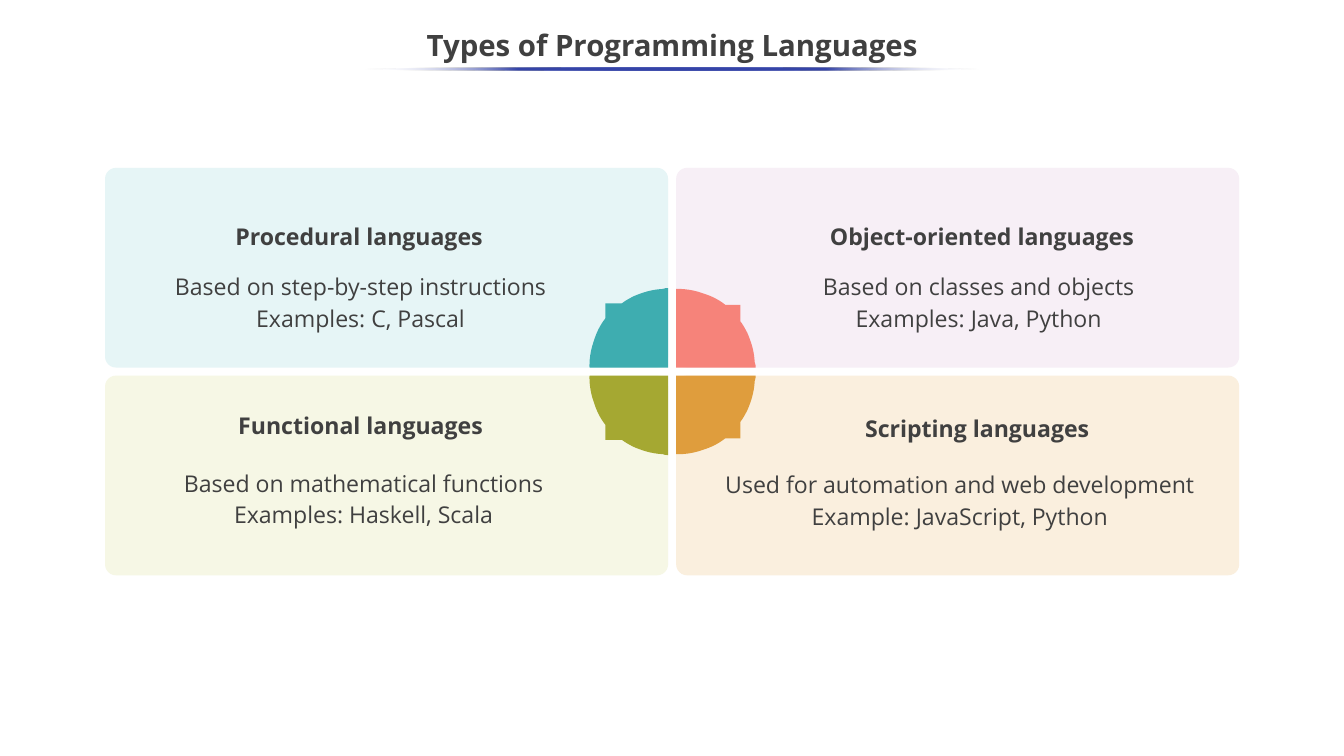
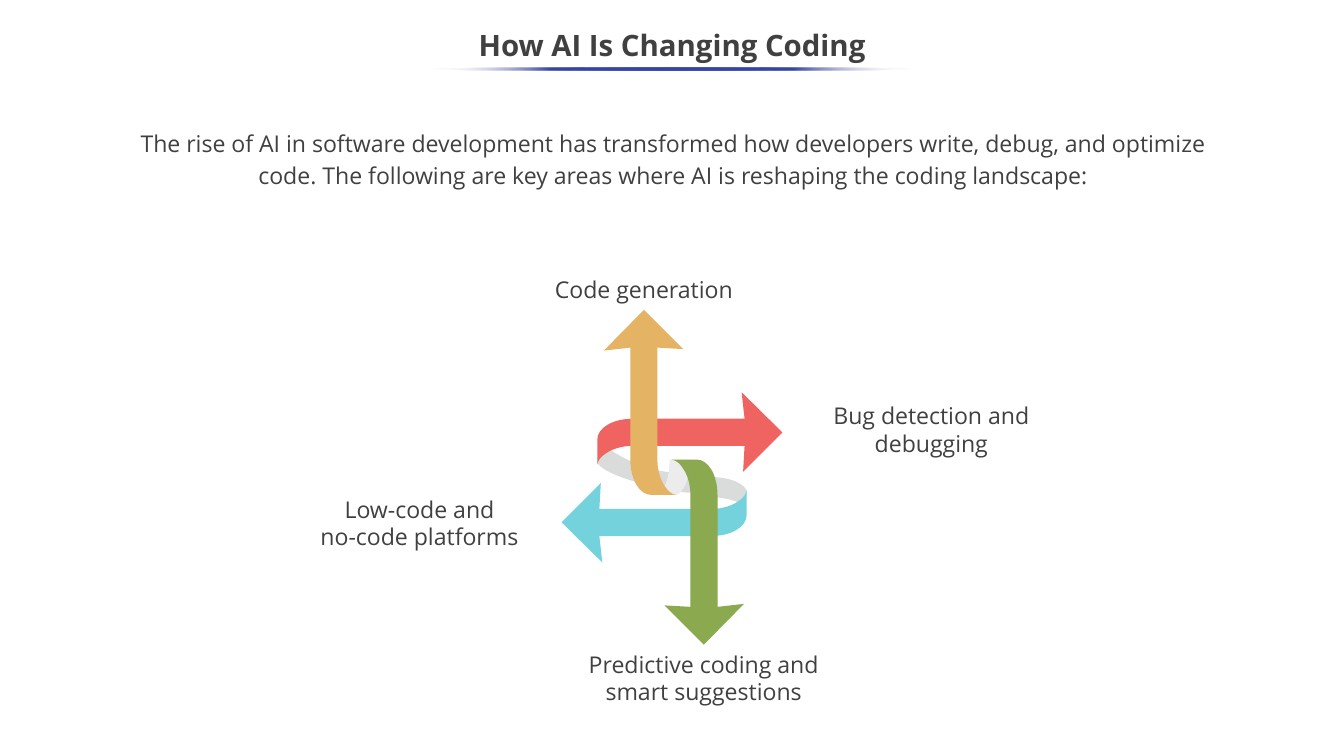
from lxml import etree
from pptx import Presentation
from pptx.dml.color import RGBColor
from pptx.enum.shapes import MSO_SHAPE
from pptx.enum.text import MSO_ANCHOR, MSO_AUTO_SIZE, PP_ALIGN
from pptx.oxml.ns import qn
from pptx.util import Cm, Pt

ROUNDED = MSO_SHAPE.ROUNDED_RECTANGLE
OVAL = MSO_SHAPE.OVAL
TOP, MIDDLE, BOTTOM = MSO_ANCHOR.TOP, MSO_ANCHOR.MIDDLE, MSO_ANCHOR.BOTTOM
CENTER = PP_ALIGN.CENTER
NO_AUTOFIT = MSO_AUTO_SIZE.NONE

# All lengths are centimetres.
SLIDE_WIDTH, SLIDE_HEIGHT = 45.16, 25.4
FONT = "Open Sans"
INK = "404040"
TITLE_SIZE, TEXT_SIZE = 28, 22
# Position in percent, colour, opacity in percent
RULE_STOPS = [(0, "FFFFFF", 0), (25, "3645A9", 100), (50, "3645A9", 100),
              (75, "3645A9", 100), (100, "FFFFFF", 0)]

CARD_LEFT, CARD_TOP = 3.53, 5.64
CARD_WIDTH, CARD_HEIGHT, CARD_GAP = 18.92, 6.71, 0.27
# Column, row, card colour, quadrant colour,
# heading and its left and top, text and its left, top and width
LANGUAGE_TYPES = [
    (0, 0, "E6F5F6", "3EADB0", "Procedural languages", (5.51, 7.29),
     "Based on step-by-step instructions\nExamples: C, Pascal", (5.56, 9.03, 13.11)),
    (1, 0, "F7EFF6", "F6837A", "Object-oriented languages", (26.44, 7.29),
     "Based on classes and objects\nExamples: Java, Python", (26.33, 9.03, 13.11)),
    (0, 1, "F6F7E5", "A5A832", "Functional languages", (5.56, 13.64),
     "Based on mathematical functions\nExamples: Haskell, Scala", (5.66, 15.63, 13.11)),
    (1, 1, "FAEFDE", "DF9D3D", "Scripting languages", (26.28, 13.74),
     "Used for automation and web development\nExample: JavaScript, Python",
     (24.21, 15.69, 16.08)),
]

# An outline is a list of segments: one point for a line, three for a curve.
# The quadrant is measured outwards from the inner corner of its card.
QUADRANT = [
    [(0, 2.67)],
    [(0.05, 2.67), (0.13, 2.67), (0.18, 2.64)],
    [(0.58, 2.62), (0.89, 2.51), (1.17, 2.39)],
    [(1.32, 2.31), (1.45, 2.24), (1.55, 2.16)],
    [(2.11, 2.16)],
    [(2.11, 1.65)],
    [(2.29, 1.42), (2.41, 1.17), (2.49, 0.91)],
    [(2.67, 0.43), (2.64, 0), (2.64, 0)],
    [(0, 0)],
    [(0, 1.42)],
]

ARROW_WIDTH, ARROW_LENGTH = 2.67, 6.22
UP_ARROW = [
    [(0, 1.37)],
    [(0.89, 1.27)],
    [(0.89, 5.03)],
    [(0.89, 5.69), (1.19, 6.22), (1.6, 6.22)],
    [(2.44, 6.22)],
    [(2.29, 6.2), (2.16, 6.1), (2.06, 5.94)],
    [(1.9, 5.72), (1.8, 5.38), (1.8, 5.03)],
    [(1.8, 1.27)],
    [(2.67, 1.32)],
    [(1.35, 0)],
]
LONG_FOLD = [
    [(20.07, 15.54)],
    [(20.29, 16.03), (22.61, 16.56), (23.27, 16.56)],
    [(23.27, 15.9)],
    [(22.91, 15.9), (21.74, 15.98), (20.4, 15.04)],
    [(20.22, 15.14), (20.02, 15.42), (20.07, 15.54)],
]
MIDDLE_FOLD = [
    [(22.66, 16.64)],
    [(22.94, 16.64), (23.19, 16.1), (23.19, 15.44)],
    [(22.5, 15.44)],
    [(22.5, 15.82), (22.43, 16.15), (22.33, 16.36)],
    [(22.4, 16.54), (22.53, 16.64), (22.66, 16.64)],
]
RIGHT_FOLD = [
    [(25.1, 16.56)],
    [(25.1, 16.28), (24.56, 16.03), (23.9, 16.03)],
    [(23.9, 16.71)],
    [(24.28, 16.71), (24.61, 16.79), (24.82, 16.89)],
    [(24.99, 16.81), (25.1, 16.69), (25.1, 16.56)],
]

INTRO = ("The rise of AI in software development has transformed how developers "
         "write, debug, and optimize code. The following are key areas where AI "
         "is reshaping the coding landscape:")
# Text, left, top, height, anchor
ARROW_LABELS = [
    ("Code generation", 16.63, 9.09, 1.22, BOTTOM),
    ("Bug detection and debugging", 26.29, 13.32, 2.21, MIDDLE),
    ("Predictive coding and smart suggestions", 18.64, 21.71, 2.21, TOP),
    ("Low-code and\nno-code platforms", 9.09, 16.46, 2.21, MIDDLE),
]


def rgb(color):
    return RGBColor.from_string(color)


def paint(shape, color):
    """Give the shape a plain fill without line or shadow."""
    shape.shadow.inherit = False
    shape.line.fill.background()
    shape.fill.solid()
    shape.fill.fore_color.rgb = rgb(color)


def write(shape, text, size=TEXT_SIZE, bold=False, anchor=TOP, spacing=1.0,
          insets=(0.25, 0.13)):
    frame = shape.text_frame
    frame.text = text
    frame.word_wrap = True
    frame.auto_size = NO_AUTOFIT
    frame.vertical_anchor = anchor
    frame.margin_left = frame.margin_right = Cm(insets[0])
    frame.margin_top = frame.margin_bottom = Cm(insets[1])
    for para in frame.paragraphs:
        para.alignment = CENTER
        para.line_spacing = spacing
        for span in para.runs:
            span.font.name = FONT
            span.font.size = Pt(size)
            span.font.bold = bold
            span.font.color.rgb = rgb(INK)


def add_text(page, text, left, top, width, height, **style):
    box = page.shapes.add_textbox(Cm(left), Cm(top), Cm(width), Cm(height))
    write(box, text, **style)


def add_title_rule(page, width):
    """Draw the thin line below the title, fading out at both ends."""
    left = (SLIDE_WIDTH - width) / 2
    rule = page.shapes.add_shape(OVAL, Cm(left), Cm(2.26), Cm(width), Cm(0.1))
    paint(rule, "FFFFFF")
    rule.fill.gradient()
    rule.fill.gradient_angle = 180
    stops = rule.element.spPr.find(".//" + qn("a:gsLst"))
    for stop in list(stops):
        stops.remove(stop)
    for position, color, opacity in RULE_STOPS:
        stop = etree.SubElement(stops, qn("a:gs"), pos=str(position * 1000))
        tint = etree.SubElement(stop, qn("a:srgbClr"), val=color)
        if opacity < 100:
            etree.SubElement(tint, qn("a:alpha"), val=str(opacity * 1000))


def add_page(deck, title, rule_width):
    page = deck.slides.add_slide(deck.slide_layouts[5])
    heading = page.shapes.title
    heading.left, heading.top = Cm(0), Cm(0.64)
    heading.width, heading.height = Cm(SLIDE_WIDTH), Cm(1.9)
    write(heading, title, TITLE_SIZE, bold=True, anchor=MIDDLE, spacing=0.9)
    add_title_rule(page, rule_width)
    return page


def bend(shape, outline):
    """Join the lines of each three-point segment into one curve."""
    lines = iter(shape.element.spPr.findall(".//" + qn("a:lnTo")))
    for segment in outline[1:]:
        parts = [next(lines) for _ in segment]
        if len(parts) == 3:
            curve = etree.Element(qn("a:cubicBezTo"))
            parts[0].addprevious(curve)
            for part in parts:
                curve.append(part[0])
                part.getparent().remove(part)


def add_outline(page, outline, color, place=lambda x, y: (x, y)):
    """Draw an outline whose points are moved by place."""
    points = [tuple(Cm(value) for value in place(*point))
              for segment in outline for point in segment]
    builder = page.shapes.build_freeform(*points[0])
    builder.add_line_segments(points[1:], close=True)
    shape = builder.convert_to_shape()
    bend(shape, outline)
    paint(shape, color)


def add_card(page, column, row, color):
    left = CARD_LEFT + column * (CARD_WIDTH + CARD_GAP)
    top = CARD_TOP + row * (CARD_HEIGHT + CARD_GAP)
    card = page.shapes.add_shape(ROUNDED, Cm(left), Cm(top),
                                 Cm(CARD_WIDTH), Cm(CARD_HEIGHT))
    card.adjustments[0] = 0.055
    paint(card, color)


def add_quadrant(page, column, row, color):
    corner_x = CARD_LEFT + CARD_WIDTH + column * CARD_GAP
    corner_y = CARD_TOP + CARD_HEIGHT + row * CARD_GAP

    def place(x, y):
        if column:
            x, y = y, x
        return (corner_x + (x if column else -x), corner_y + (y if row else -y))

    add_outline(page, QUADRANT, color, place)


def add_arrow(page, left, top, quarter_turns, color):
    """Draw the bent arrow, turned clockwise from pointing up."""
    def place(x, y):
        turned = [(x, y), (ARROW_LENGTH - y, x),
                  (ARROW_WIDTH - x, ARROW_LENGTH - y), (y, ARROW_WIDTH - x)]
        dx, dy = turned[quarter_turns]
        return left + dx, top + dy

    add_outline(page, UP_ARROW, color, place)


def add_language_types(deck):
    page = add_page(deck, "Types of Programming Languages", 20.65)
    for column, row, card_color, *_ in reversed(LANGUAGE_TYPES):
        add_card(page, column, row, card_color)
    for column, row, _, color, *_ in LANGUAGE_TYPES:
        add_quadrant(page, column, row, color)
    for *_, heading, heading_at, text, text_at in LANGUAGE_TYPES:
        add_text(page, text, *text_at, 2.24, spacing=1.14, insets=(0, 0))
        add_text(page, heading, *heading_at, 13.11, 1.12, bold=True,
                 anchor=BOTTOM, spacing=1.14, insets=(0, 0))


def add_ai_changes(deck):
    page = add_page(deck, "How AI Is Changing Coding", 16.23)
    add_text(page, INTRO, 3.59, 4.21, 38.05, 2.51, spacing=1.15, insets=(0.25, 0))
    add_outline(page, LONG_FOLD, "DADCDC")
    add_arrow(page, 20.07, 13.18, 1, "EF6461")
    add_outline(page, MIDDLE_FOLD, "ECECEC")
    add_arrow(page, 20.29, 10.41, 0, "E4B363")
    add_outline(page, RIGHT_FOLD, "DADCDC")
    add_arrow(page, 18.87, 16.23, 3, "74D2DC")
    add_arrow(page, 22.33, 15.44, 2, "8BAA4F")
    for text, left, top, height, anchor in ARROW_LABELS:
        add_text(page, text, left, top, 10.01, height, anchor=anchor)


def main():
    deck = Presentation()
    deck.slide_width, deck.slide_height = Cm(SLIDE_WIDTH), Cm(SLIDE_HEIGHT)
    add_language_types(deck)
    add_ai_changes(deck)
    deck.save("out.pptx")


if __name__ == "__main__":
    main()
